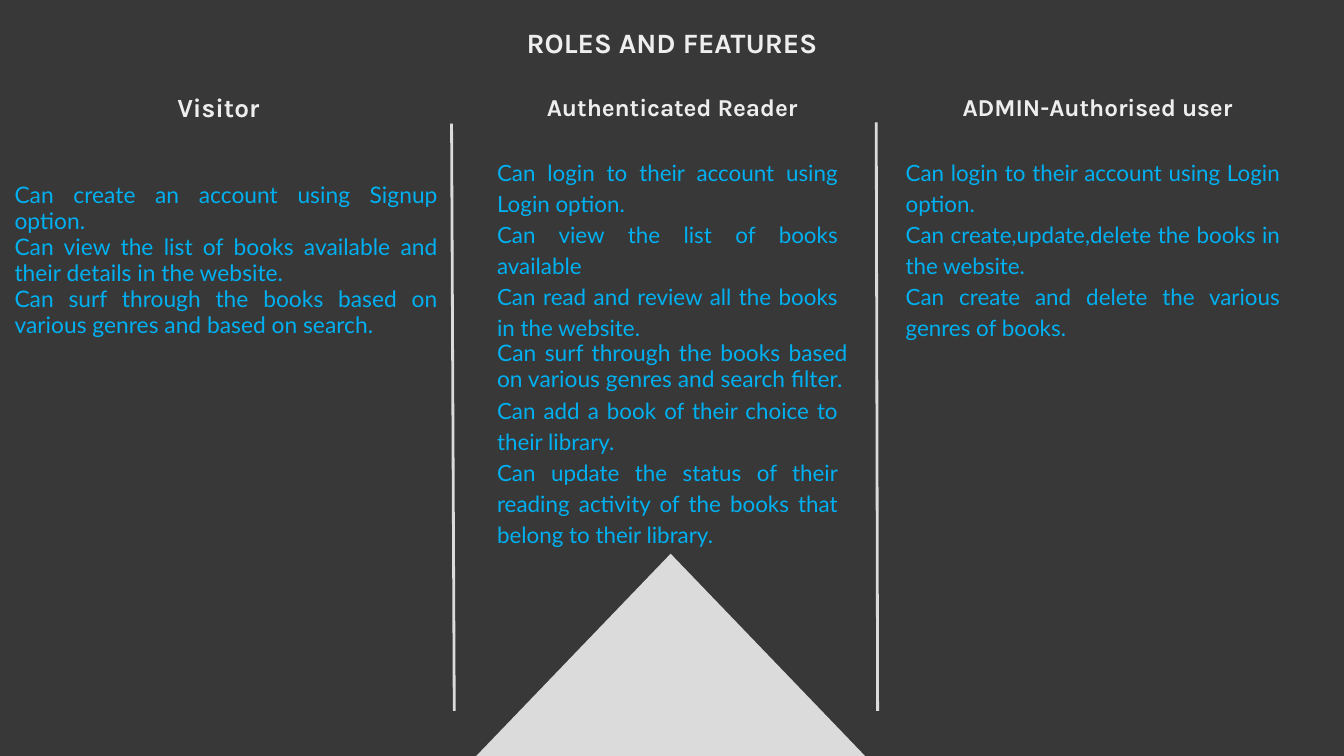
import dataclasses

import pptx
import pptx.dml.color
import pptx.enum.shapes
import pptx.enum.text
import pptx.oxml.ns
import pptx.util
from lxml import etree

ALIGN = pptx.enum.text.PP_ALIGN
ANCHOR = pptx.enum.text.MSO_ANCHOR

# The grid has 100 columns and 56.25 rows, all of them one tenth of an inch
COLUMNS, ROWS = 100, 56.25
INSET = 1
LOOSE_INDENT = 0.75


@dataclasses.dataclass(frozen=True)
class Theme:
    background: str = "383838"
    ornament: str = "DBDBDB"
    heading: str = "EEEEEE"
    body: str = "00B0F0"
    heading_font: str = "Karla"
    body_font: str = "Lato"
    title_size: float = 15
    visitor_size: float = 14
    role_size: float = 13
    loose_size: float = 12
    tight_size: float = 12.2
    rule_width: float = 1.5


@dataclasses.dataclass(frozen=True)
class Area:
    column: float
    row: float
    columns: float
    rows: float


@dataclasses.dataclass(frozen=True)
class Feature:
    text: str
    tight: bool = False


@dataclasses.dataclass(frozen=True)
class Role:
    name: str
    name_size: float
    name_area: Area
    list_area: Area
    features: tuple[Feature, ...]
    top_inset: float = INSET


@dataclasses.dataclass(frozen=True)
class Divider:
    top: tuple[float, float]
    bottom: tuple[float, float]


THEME = Theme()
LIST_ROW = 10.54
TITLE_AREA = Area(36.75, 0.9, 26.5, 4.5)
TRIANGLE_AREA = Area(35, 41.2, 29.8, 15.5)

ROLES = (
    Role("Visitor", THEME.visitor_size,
         Area(6.4, 6.3, 19.7, 3.3), Area(0.1, LIST_ROW, 33.5, 39.8),
         (Feature("Can create an account using Signup option.", tight=True),
          Feature("Can view the list of books available and their details in the website.", tight=True),
          Feature("Can surf through the books based on various genres and based on search.", tight=True)),
         top_inset=3.07),
    Role("Authenticated Reader", THEME.role_size,
         Area(36.75, 5.7, 26.5, 4.5), Area(36, LIST_ROW, 28.1, 41.2),
         (Feature("Can login to their account using Login option."),
          Feature("Can view the list of books available"),
          Feature("Can read and review all the books in the website."),
          Feature("Can surf through the books based on various genres and search filter.", tight=True),
          Feature("Can add a book of their choice to their library."),
          Feature("Can update the status of their reading activity of the books that belong to their library."))),
    Role("ADMIN-Authorised user", THEME.role_size,
         Area(67.9, 5.7, 27.5, 4.5), Area(66.4, LIST_ROW, 30.6, 45.7),
         (Feature("Can login to their account using Login option."),
          Feature("Can create,update,delete the books in the website."),
          Feature("Can create and delete the various genres of books."))),
)

DIVIDERS = (
    Divider((33.6, 9.2), (33.8, 52.9)),
    Divider((65.2, 9.1), (65.3, 52.9)),
)


def grid(units: float) -> int:
    return pptx.util.Inches(units / 10)


def place(area: Area) -> tuple[int, int, int, int]:
    return grid(area.column), grid(area.row), grid(area.columns), grid(area.rows)


def colour(code: str) -> pptx.dml.color.RGBColor:
    return pptx.dml.color.RGBColor.from_string(code)


def add_box(page, area: Area, anchor=ANCHOR.TOP, top_inset: float = INSET):
    frame = page.shapes.add_textbox(*place(area)).text_frame
    frame.word_wrap = True
    frame.vertical_anchor = anchor
    frame.margin_left = frame.margin_right = frame.margin_bottom = grid(INSET)
    frame.margin_top = grid(top_inset)
    return frame


def write(para, text: str, *, font: str, size: float, code: str,
          align=ALIGN.CENTER, bold: bool = False) -> None:
    para.alignment = align
    span = para.add_run()
    span.text = text
    span.font.name = font
    span.font.size = pptx.util.Pt(size)
    span.font.bold = bold
    span.font.color.rgb = colour(code)


def add_heading(page, text: str, area: Area, size: float) -> None:
    frame = add_box(page, area, anchor=ANCHOR.MIDDLE)
    write(frame.paragraphs[0], text, font=THEME.heading_font, size=size,
          code=THEME.heading, bold=True)


def add_features(page, role: Role) -> None:
    frame = add_box(page, role.list_area, top_inset=role.top_inset)
    for index, feature in enumerate(role.features):
        para = frame.add_paragraph() if index else frame.paragraphs[0]
        write(para, feature.text, font=THEME.body_font, code=THEME.body,
              size=THEME.tight_size if feature.tight else THEME.loose_size,
              align=ALIGN.JUSTIFY)
        para.line_spacing = 0.95 if feature.tight else 1.15
        para.space_before = pptx.util.Pt(0 if feature.tight else 0.1)
        # Loose paragraphs keep a small right indent, tight ones use the full width
        indent = 0 if feature.tight else LOOSE_INDENT
        para._p.get_or_add_pPr().set("marR", str(grid(indent)))


def add_triangle(page) -> None:
    triangle = page.shapes.add_shape(
        pptx.enum.shapes.MSO_SHAPE.ISOSCELES_TRIANGLE, *place(TRIANGLE_AREA))
    triangle.shadow.inherit = False
    triangle.fill.solid()
    triangle.fill.fore_color.rgb = colour(THEME.ornament)
    triangle.line.fill.background()


def add_divider(page, divider: Divider) -> None:
    ends = [grid(units) for units in divider.top + divider.bottom]
    line = page.shapes.add_connector(pptx.enum.shapes.MSO_CONNECTOR.STRAIGHT, *ends)
    line.line.color.rgb = colour(THEME.ornament)
    line.line.width = pptx.util.Pt(THEME.rule_width)
    etree.SubElement(line._element.spPr, pptx.oxml.ns.qn("a:effectLst"))


def main() -> None:
    deck = pptx.Presentation()
    deck.slide_width, deck.slide_height = grid(COLUMNS), grid(ROWS)
    page = deck.slides.add_slide(deck.slide_layouts[6])
    page.background.fill.solid()
    page.background.fill.fore_color.rgb = colour(THEME.background)

    # Ornament behind the text
    add_triangle(page)

    # Role columns
    for role in ROLES:
        add_features(page, role)
        add_heading(page, role.name, role.name_area, role.name_size)

    # Rules between the columns, then the title
    for divider in DIVIDERS:
        add_divider(page, divider)
    add_heading(page, "ROLES AND FEATURES", TITLE_AREA, THEME.title_size)

    deck.save("out.pptx")


if __name__ == "__main__":
    main()
